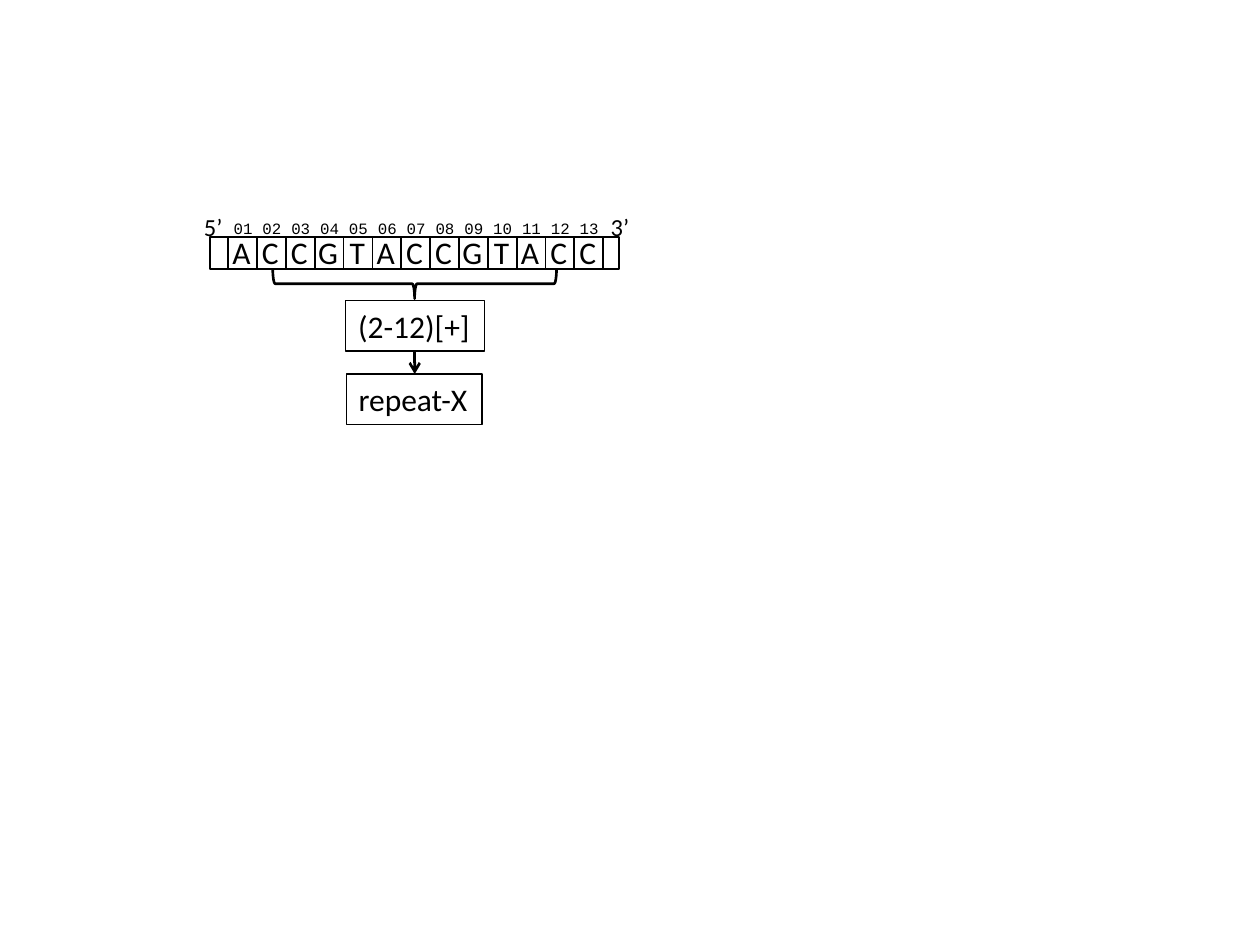
import pptx
import pptx.dml.color
import pptx.enum.shapes
import pptx.enum.text
import pptx.oxml
import pptx.oxml.ns
import pptx.util

Cm = pptx.util.Cm
Pt = pptx.util.Pt
Shape = pptx.enum.shapes.MSO_SHAPE

COLOURS = {"ink": "000000"}
FONTS = {"body": "Calibri", "index": "Courier New"}
SEQUENCE = "ACCGTACCGTACC"
BASE_WIDTHS = {"A": 0.89, "C": 0.86, "G": 0.92, "T": 0.82}


def colour(name):
    """Return the named colour."""
    return pptx.dml.color.RGBColor.from_string(COLOURS[name])


def write_text(frame, text, size=18, font="body"):
    """Write one unwrapped line of formatted text."""
    frame.word_wrap = False
    frame.auto_size = pptx.enum.text.MSO_AUTO_SIZE.SHAPE_TO_FIT_TEXT
    paragraph = frame.paragraphs[0]
    paragraph.alignment = pptx.enum.text.PP_ALIGN.LEFT
    run = paragraph.add_run()
    run.text = text
    run.font.size = Pt(size)
    run.font.name = FONTS[font]
    run.font.color.rgb = colour("ink")


class Diagram:
    """Draws the elements of a sequence diagram in one group."""

    def __init__(self, slide):
        """Start a group on the slide."""
        self.shapes = slide.shapes.add_group_shape().shapes

    def outline(self, element, weight):
        """Give a shape or connector its line."""
        element.line.color.rgb = colour("ink")
        element.line.width = Pt(weight)

    def shape(self, kind, left, top, width, height, weight, rotation=0):
        """Add an unfilled preset shape."""
        shape = self.shapes.add_shape(kind, Cm(left), Cm(top), Cm(width), Cm(height))
        shape.shadow.inherit = False
        shape.fill.background()
        shape.rotation = rotation
        self.outline(shape, weight)

    def text(self, text, left, top, width, height, border=None, **style):
        """Add a text box, framed if a border weight is given."""
        box = self.shapes.add_textbox(Cm(left), Cm(top), Cm(width), Cm(height))
        write_text(box.text_frame, text, **style)
        if border:
            self.outline(box, border)

    def line(self, x, top, bottom, weight, arrow=False):
        """Add a vertical line, with an arrowhead at the bottom if asked."""
        line = self.shapes.add_connector(
            pptx.enum.shapes.MSO_CONNECTOR.STRAIGHT, Cm(x), Cm(top), Cm(x), Cm(bottom))
        self.outline(line, weight)
        properties = line._element.spPr
        if arrow:
            head = pptx.oxml.ns.qn("a:tailEnd")
            line.line._get_or_add_ln().append(properties.makeelement(head, {"type": "arrow"}))
        properties.append(properties.makeelement(pptx.oxml.ns.qn("a:effectLst"), {}))


def draw_strand(diagram):
    """Draw the numbered row of bases and its two ends."""
    top, height, first, last = 4.78, 0.64, 4.6, 12.16
    pitch = (last - first) / len(SEQUENCE)
    diagram.shape(Shape.RECTANGLE, 4.23, top, 8.25, height, weight=1)
    for end, left in (("5’", 3.86), ("3’", 12.06)):
        diagram.text(end, left, 4.14, 0.89, 0.86, size=14)
    for index in range(len(SEQUENCE) + 1):
        diagram.line(first + index * pitch, top, top + height, weight=1)
    for index, base in enumerate(SEQUENCE):
        centre = first + (index + 0.5) * pitch
        width = BASE_WIDTHS[base]
        diagram.text(base, centre - width / 2 - 0.01, 4.57, width, 1.02)
    for index in range(len(SEQUENCE)):
        diagram.text(f"{index + 1:02}", 4.46 + index * pitch, 4.29, 0.89, 0.64,
                     size=9, font="index")


def draw_feature(diagram):
    """Draw the brace, the location and the feature it maps to."""
    diagram.shape(Shape.LEFT_BRACE, 8.06, 2.86, 0.6, 5.72, weight=1.5, rotation=270)
    diagram.text("(2-12)[+]", 6.97, 6.06, 2.8, 1.02, border=0.75)
    diagram.line(8.36, 7.09, 7.54, weight=1.5, arrow=True)
    diagram.text("repeat-X", 6.98, 7.54, 2.74, 1.02, border=0.75)


def main():
    """Build and save the presentation."""
    presentation = pptx.Presentation()
    presentation.slide_width = Cm(25.4)
    presentation.slide_height = Cm(19.05)
    slide = presentation.slides.add_slide(presentation.slide_layouts[6])
    diagram = Diagram(slide)
    draw_strand(diagram)
    draw_feature(diagram)
    presentation.save("out.pptx")


main()
